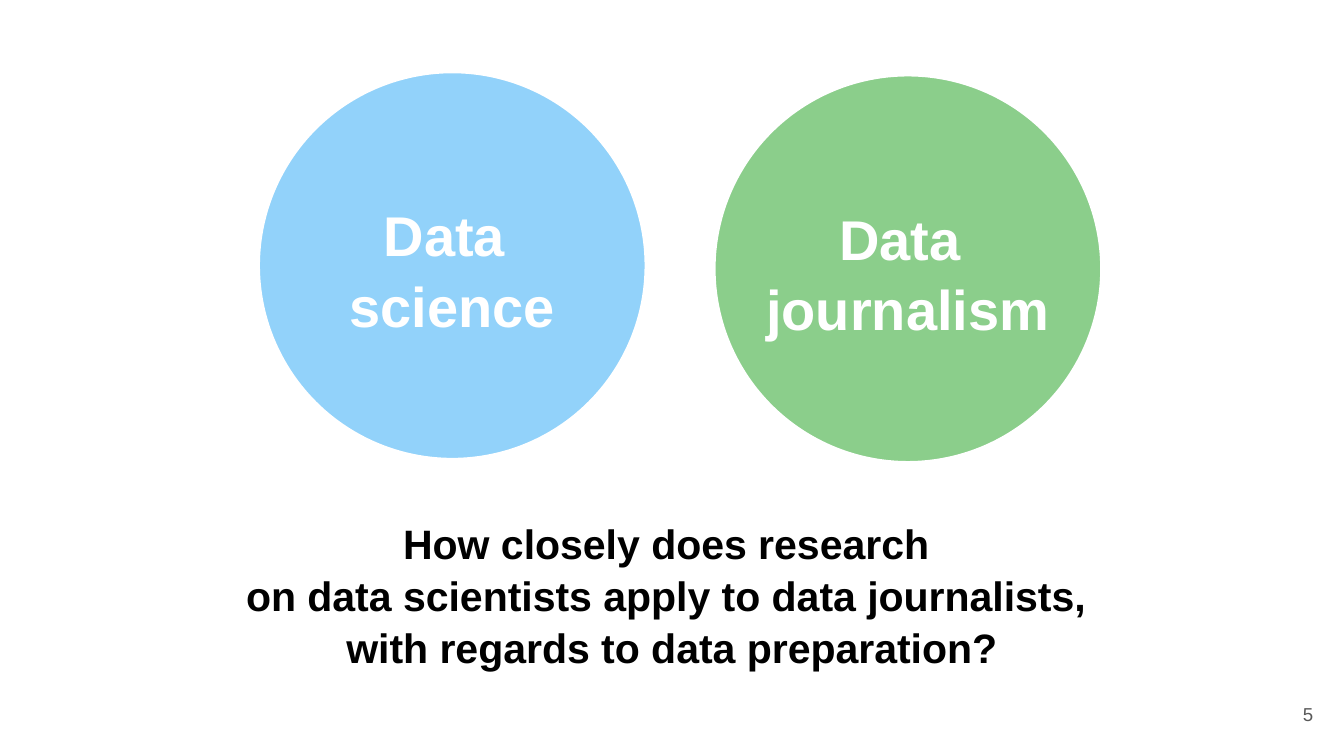
from dataclasses import dataclass

from lxml.etree import SubElement
from pptx import Presentation
from pptx.dml.color import RGBColor
from pptx.enum.shapes import MSO_SHAPE
from pptx.enum.text import MSO_ANCHOR, MSO_AUTO_SIZE, PP_ALIGN
from pptx.oxml.ns import qn
from pptx.util import Pt


@dataclass(frozen=True)
class Theme:
    font: str = "Arial"
    science: str = "87CEFA"
    journalism: str = "7FC97F"
    white: str = "FFFFFF"
    black: str = "000000"
    grey: str = "595959"
    label_size: int = 30
    question_size: int = 22
    number_size: int = 10


theme = Theme()


def write_text(box, lines, *, size, color, bold=True, align=PP_ALIGN.CENTER,
               anchor=MSO_ANCHOR.TOP, spacing=1.05):
    frame = box.text_frame
    frame.text = "\n".join(lines)
    frame.auto_size = MSO_AUTO_SIZE.NONE
    frame.word_wrap = True
    frame.vertical_anchor = anchor
    for paragraph in frame.paragraphs:
        paragraph.alignment = align
        paragraph.line_spacing = spacing
        paragraph.font.name = theme.font
        paragraph.font.size = Pt(size)
        paragraph.font.bold = bold
        paragraph.font.color.rgb = RGBColor.from_string(color)


# Slide
deck = Presentation()
deck.slide_width, deck.slide_height = Pt(720), Pt(405)
slide = deck.slides.add_slide(deck.slide_layouts[5])

# Two fields, each a circle with its label centred on it
diameter, label_height = 211, 80
fields = [
    ("science", theme.science, 136.8, 36.8),
    ("journalism", theme.journalism, 380.9, 38.5),
]
for field, color, left, top in fields:
    group = slide.shapes.add_group_shape()
    circle = group.shapes.add_shape(
        MSO_SHAPE.OVAL, Pt(left), Pt(top), Pt(diameter), Pt(diameter))
    circle.shadow.inherit = False
    circle.fill.solid()
    circle.fill.fore_color.rgb = RGBColor.from_string(color)
    # Fill at 90 % opacity
    rgb = circle.fill._xPr.find(qn("a:solidFill")).find(qn("a:srgbClr"))
    SubElement(rgb, qn("a:alpha")).set("val", "90000")
    circle.line.color.rgb = RGBColor.from_string(theme.white)
    circle.line.width = Pt(5)

    label = group.shapes.add_textbox(
        Pt(left), Pt(top + (diameter - label_height) / 2),
        Pt(diameter), Pt(label_height))
    write_text(label, ["Data ", field], size=theme.label_size, color=theme.white)

# Research question as the title
question = slide.shapes.title
question.left, question.top = Pt(0), Pt(273)
question.width, question.height = Pt(720), Pt(87)
write_text(question, [
    "How closely does research ",
    "on data scientists apply to data journalists, ",
    "with regards to data preparation?",
], size=theme.question_size, color=theme.black)

# Slide number
number = slide.shapes.add_textbox(Pt(667.4), Pt(367.2), Pt(43.2), Pt(31))
write_text(number, ["5"], size=theme.number_size, color=theme.grey, bold=False,
           align=PP_ALIGN.RIGHT, anchor=MSO_ANCHOR.MIDDLE, spacing=1)

deck.save("out.pptx")
